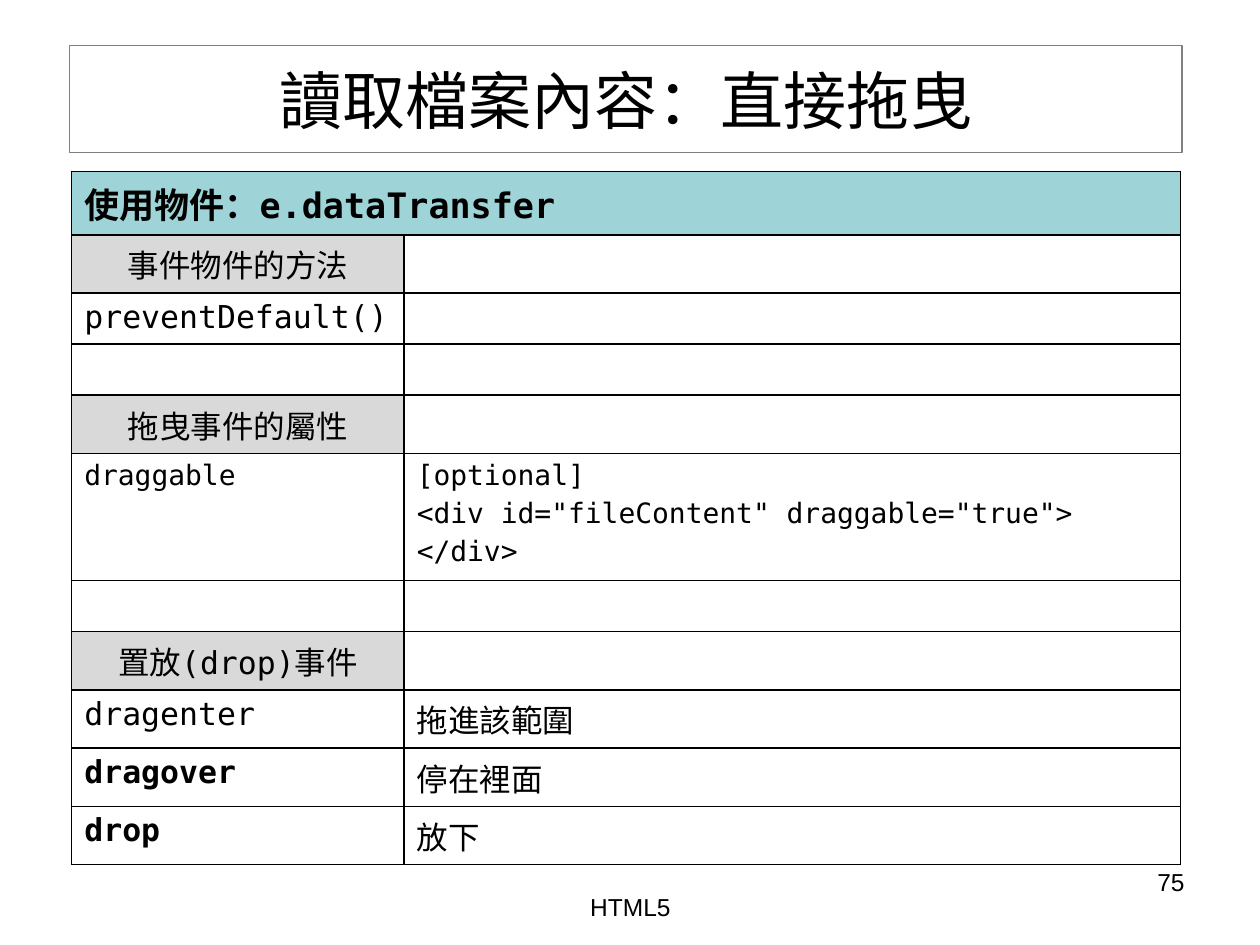
from pptx import Presentation
from pptx import util as u
from pptx.dml.color import RGBColor
from pptx.enum import text
from pptx.oxml import parse_xml
from pptx.oxml.ns import nsdecls

BLACK = RGBColor(0x00, 0x00, 0x00)
WHITE = RGBColor(0xFF, 0xFF, 0xFF)
GREY = RGBColor(0x7F, 0x7F, 0x7F)
TEAL = RGBColor(0x9E, 0xD3, 0xD7)
SILVER = RGBColor(0xD9, 0xD9, 0xD9)
SANS = "Arial"
MONO = "DejaVu Sans Mono"
LEFT, CENTER, RIGHT = (text.PP_ALIGN.LEFT, text.PP_ALIGN.CENTER,
                       text.PP_ALIGN.RIGHT)
HEADING = "使用物件：e.dataTransfer"
SECTIONS = {"事件物件的方法", "拖曳事件的屬性", "置放(drop)事件"}
BOLD_EVENTS = {"dragover", "drop"}
ROWS = [
    ("事件物件的方法", ""),
    ("preventDefault()", ""),
    ("", ""),
    ("拖曳事件的屬性", ""),
    ("draggable",
     '[optional]\n<div id="fileContent" draggable="true">\n</div>'),
    ("", ""),
    ("置放(drop)事件", ""),
    ("dragenter", "拖進該範圍"),
    ("dragover", "停在裡面"),
    ("drop", "放下"),
]


def write(frame, words, size, font=SANS, align=LEFT, bold=False):
    """Write each line of words as a paragraph of one run."""
    for index, line in enumerate(words.split("\n")):
        para = frame.paragraphs[0] if index == 0 else frame.add_paragraph()
        para.alignment = align
        if index:
            para.space_before = u.Pt(3.2)
        span = para.add_run()
        span.text = line
        span.font.name = font
        span.font.size = u.Pt(size)
        span.font.bold = bold
        span.font.color.rgb = BLACK


def add_title(page, words):
    """Place the outlined title."""
    title = page.shapes.title
    title.left, title.top = u.Pt(39.6), u.Pt(26)
    title.width, title.height = u.Pt(635.8), u.Pt(61.2)
    title.line.color.rgb = GREY
    title.line.width = u.Pt(0.75)
    title.text_frame.vertical_anchor = text.MSO_ANCHOR.MIDDLE
    write(title.text_frame, words, 36, align=CENTER)


def add_label(page, words, left, top, width, height, align):
    """Add a small footer text box."""
    box = page.shapes.add_textbox(u.Pt(left), u.Pt(top),
                                  u.Pt(width), u.Pt(height))
    box.text_frame.word_wrap = True
    write(box.text_frame, words, 14, align=align)


def style_cell(cell, fill):
    """Give a cell thin black borders and a fill."""
    properties = cell._tc.get_or_add_tcPr()
    for side in "LRTB":
        properties.append(parse_xml(
            f'<a:ln{side} {nsdecls("a")} w="{u.Pt(1)}"><a:solidFill>'
            f'<a:srgbClr val="{BLACK}"/></a:solidFill></a:ln{side}>'))
    cell.fill.solid()
    cell.fill.fore_color.rgb = fill


def add_event_table(page):
    """Add the table of drag events, methods and attributes."""
    table = page.shapes.add_table(len(ROWS) + 1, 2, u.Pt(41), u.Pt(97.9),
                                  u.Pt(633.6), u.Pt(364)).table
    table.first_row = table.horz_banding = False
    for column, width in zip(table.columns, (190, 443.6)):
        column.width = u.Pt(width)
    for row in table.rows:
        row.height = u.Pt(28.8)
    table.rows[0].height = u.Pt(31.7)
    table.rows[5].height = u.Pt(72.7)
    for cell in table.rows[0].cells:
        style_cell(cell, TEAL)
    table.cell(0, 0).merge(table.cell(0, 1))
    write(table.cell(0, 0).text_frame, HEADING, 20, MONO, bold=True)
    for row, entries in enumerate(ROWS, 1):
        size = 16 if entries[0] == "draggable" else 18
        for column, words in enumerate(entries):
            cell = table.cell(row, column)
            section = words in SECTIONS
            style_cell(cell, SILVER if section else WHITE)
            if words:
                write(cell.text_frame, words, size, MONO,
                      CENTER if section else LEFT, words in BOLD_EVENTS)


def main():
    """Build and save the slide."""
    deck = Presentation()
    deck.slide_width, deck.slide_height = u.Pt(720), u.Pt(540)
    page = deck.slides.add_slide(deck.slide_layouts[5])
    add_title(page, "讀取檔案內容：直接拖曳")
    add_event_table(page)
    add_label(page, "75", 516.2, 491.8, 167.8, 37.4, RIGHT)
    add_label(page, "HTML5", 246.2, 506.2, 228.2, 36, CENTER)
    deck.save("out.pptx")


if __name__ == "__main__":
    main()
